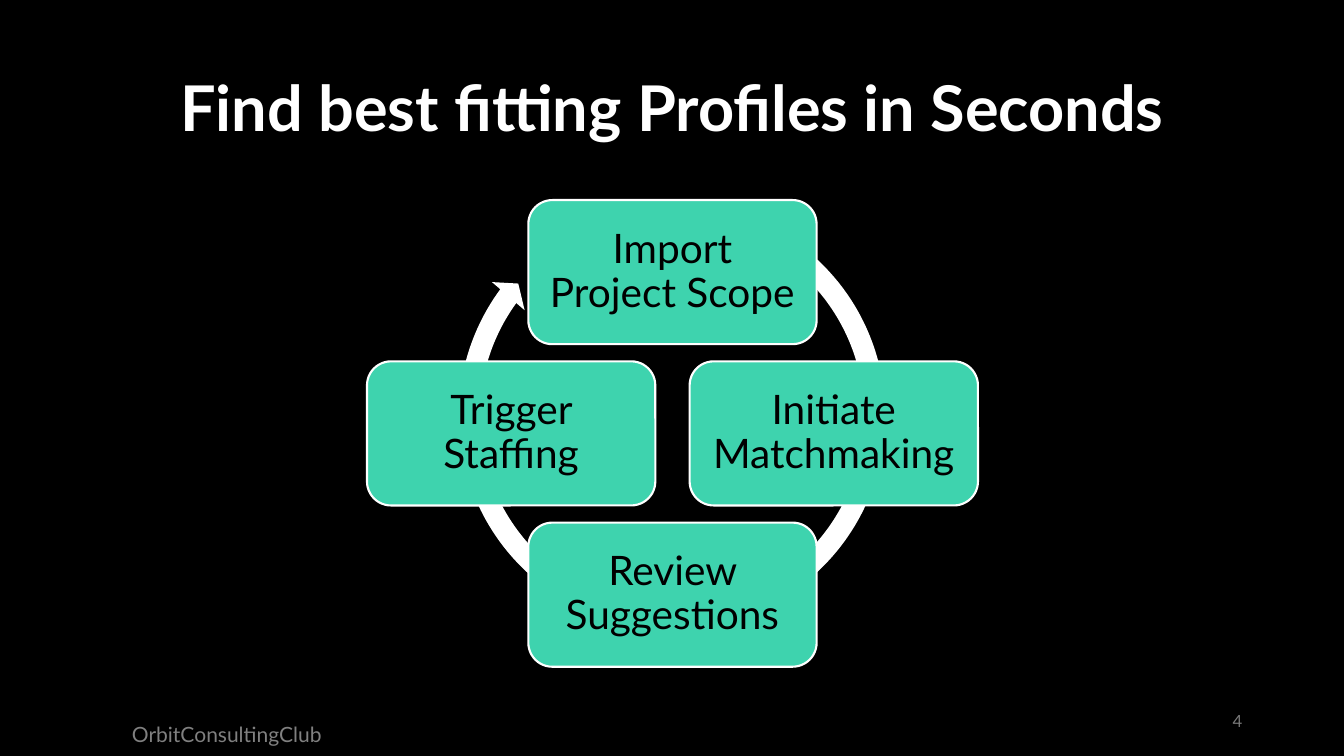
from pptx import Presentation
from pptx.dml.color import RGBColor
from pptx.enum.shapes import MSO_SHAPE
from pptx.enum.text import MSO_ANCHOR, PP_ALIGN
from pptx.util import Inches, Pt

COLORS = {
    "background": "000000",
    "card": "3ED3AE",
    "white": "FFFFFF",
    "black": "000000",
    "footer": "808080",
    "number": "797979",
}


def color(name):
    return RGBColor.from_string(COLORS[name])


def write_text(shape, text, font="Lato", size=15, ink="white", bold=False,
               align=PP_ALIGN.CENTER, line_spacing=1.0, inset=None):
    frame = shape.text_frame
    frame.word_wrap = True
    frame.vertical_anchor = MSO_ANCHOR.MIDDLE
    if inset is not None:
        frame.margin_left = frame.margin_right = Inches(inset)
        frame.margin_top = frame.margin_bottom = Inches(inset)
    paragraph = frame.paragraphs[0]
    paragraph.alignment = align
    paragraph.line_spacing = line_spacing
    run = paragraph.add_run()
    run.text = text
    run.font.name = font
    run.font.size = Pt(size)
    run.font.bold = bold
    run.font.color.rgb = color(ink)


class SlideBuilder:
    def __init__(self, presentation):
        self.slide = presentation.slides.add_slide(presentation.slide_layouts[6])
        self.slide.background.fill.solid()
        self.slide.background.fill.fore_color.rgb = color("background")

    def shape(self, kind, left, top, width, height, fill):
        shape = self.slide.shapes.add_shape(
            kind, Inches(left), Inches(top), Inches(width), Inches(height))
        shape.shadow.inherit = False
        shape.fill.solid()
        shape.fill.fore_color.rgb = color(fill)
        shape.line.fill.background()
        return shape

    def cycle_arrow(self, left, top, size, adjustments):
        arrow = self.shape(MSO_SHAPE.CIRCULAR_ARROW, left, top, size, size, "white")
        for index, value in enumerate(adjustments):
            arrow.adjustments[index] = value

    def card(self, text, center_x, center_y, width=2.86, height=1.43):
        card = self.shape(MSO_SHAPE.ROUNDED_RECTANGLE, center_x - width / 2,
                          center_y - height / 2, width, height, "card")
        card.line.color.rgb = color("white")
        card.line.width = Pt(1.5)
        write_text(card, text, size=29, ink="black", line_spacing=0.9, inset=0.12)

    def text(self, text, left, top, width, height, **text_format):
        box = self.slide.shapes.add_textbox(
            Inches(left), Inches(top), Inches(width), Inches(height))
        write_text(box, text, **text_format)


def main():
    presentation = Presentation()
    presentation.slide_width = Inches(13.33)
    presentation.slide_height = Inches(7.5)
    builder = SlideBuilder(presentation)

    builder.cycle_arrow(4.44, 1.9, 4.45, (0.047, 2.729, 129.698, 179.372, 0.048))

    center_x, center_y, radius = 6.67, 4.3, 1.6
    steps = [
        ("Import Project Scope", 0, -1),
        ("Initiate Matchmaking", 1, 0),
        ("Review Suggestions", 0, 1),
        ("Trigger Staffing", -1, 0),
    ]
    for label, across, down in steps:
        builder.card(label, center_x + across * radius, center_y + down * radius)

    builder.text("Find best fitting Profiles in Seconds", 0.67, 0.38, 11.99, 1.45,
                 size=45, bold=True, line_spacing=0.9)
    builder.text("OrbitConsultingClub", 0, 7.08, 4.5, 0.4, ink="footer")
    builder.text("4", 9.42, 6.95, 3, 0.4, size=12, ink="number", align=PP_ALIGN.RIGHT)

    presentation.save("out.pptx")


if __name__ == "__main__":
    main()
